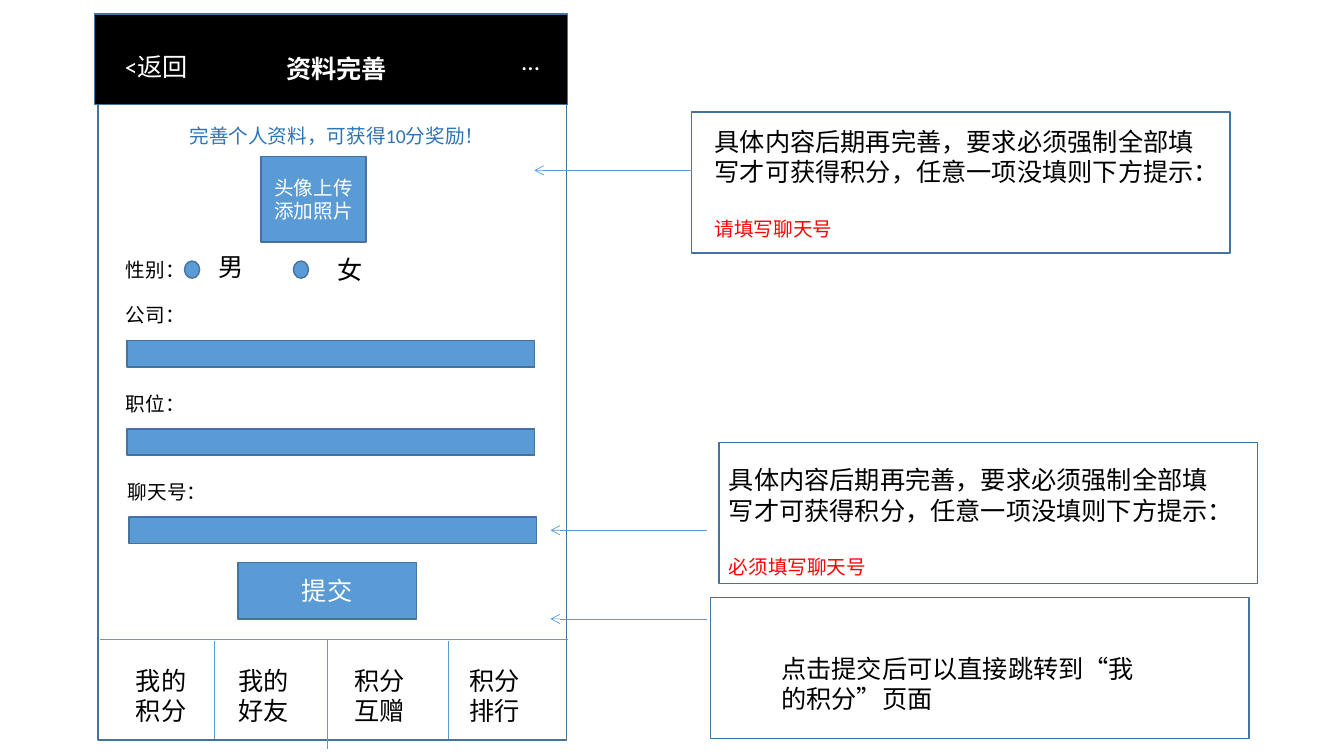
from dataclasses import dataclass
from lxml import etree
from pptx import Presentation
from pptx.dml.color import RGBColor
from pptx.enum.shapes import MSO_CONNECTOR, MSO_SHAPE
from pptx.enum.text import MSO_ANCHOR, PP_ALIGN
from pptx.oxml.ns import qn
from pptx.util import Inches, Pt

RECT, OVAL = MSO_SHAPE.RECTANGLE, MSO_SHAPE.OVAL
LINE = MSO_CONNECTOR.STRAIGHT
LEFT, MID = PP_ALIGN.LEFT, PP_ALIGN.CENTER
TOP, CORE = MSO_ANCHOR.TOP, MSO_ANCHOR.MIDDLE
FONT = "Calibri"
CELL = 0.1  # one grid column or row, in inches
HEX = {"white": "FFFFFF", "black": "000000", "blue": "5B9BD5",
       "edge": "43739E", "tip": "2E75B6", "red": "FF0000"}


@dataclass
class Box:
    x: float
    y: float
    w: float
    h: float


@dataclass
class Label:
    text: str
    box: Box
    size: int = 14
    color: str = "black"
    bold: bool = False


@dataclass
class Field:
    text: str
    x: float


@dataclass
class Tab:
    text: str
    x: float


@dataclass
class Rule:
    x: float
    top: float
    end: float


@dataclass
class Note:
    frame: Box
    body: Box
    text: str
    alert: str
    tail: float
    head: float
    row: float


deck = Presentation()
deck.slide_width, deck.slide_height = Inches(13.33), Inches(7.5)
page = deck.slides.add_slide(deck.slide_layouts[6])


def grid(n: float) -> int:
    return Inches(n * CELL)


def place(box: Box) -> tuple:
    return grid(box.x), grid(box.y), grid(box.w), grid(box.h)


def tint(name: str) -> RGBColor:
    return RGBColor.from_string(HEX[name])


def write(frame, text: str, *, size: int = 14, color: str = "black",
          bold: bool = False, align=LEFT, anchor=TOP, gap: float = 0,
          more: bool = False) -> None:
    frame.word_wrap = True
    frame.vertical_anchor = anchor
    para = frame.add_paragraph() if more else frame.paragraphs[0]
    para.alignment = align
    para.space_before = Pt(gap)
    run = para.add_run()
    run.text = text
    run.font.name, run.font.size, run.font.bold = FONT, Pt(size), bold
    run.font.color.rgb = tint(color)


def label(item: Label):
    frame = page.shapes.add_textbox(*place(item.box)).text_frame
    write(frame, item.text, size=item.size, color=item.color, bold=item.bold)
    return frame


def block(box: Box, fill: str = "blue", kind=RECT):
    shape = page.shapes.add_shape(kind, *place(box))
    shape.shadow.inherit = False
    if fill:
        shape.fill.solid()
        shape.fill.fore_color.rgb = tint(fill)
    else:
        shape.fill.background()
    shape.line.color.rgb = tint("edge")
    shape.line.width = Pt(1)
    return shape


def button(text: str, box: Box, size: int) -> None:
    write(block(box).text_frame, text, size=size, color="white",
          align=MID, anchor=CORE)


def stroke(x1: float, y1: float, x2: float, y2: float,
           arrow: bool = False) -> None:
    line = page.shapes.add_connector(LINE, grid(x1), grid(y1), grid(x2), grid(y2))
    line.line.color.rgb = tint("blue")
    line.line.width = Pt(0.5)
    if arrow:
        etree.SubElement(line.line._get_or_add_ln(), qn("a:tailEnd"), type="arrow")
    etree.SubElement(line._element.spPr, qn("a:effectLst"))


def note(item: Note) -> None:
    block(item.frame, "")
    frame = label(Label(item.text, item.body, 18))
    if item.alert:
        write(frame, item.alert, color="red", gap=21.5, more=True)
    stroke(item.tail, item.row, item.head, item.row, arrow=True)


# Phone screen and title bar
block(Box(9.7, 1.4, 46.5, 72), "white")
block(Box(9.4, 1.4, 46.9, 9), "black")
for item in (
    Label("<返回", Box(11.4, 4.6, 12.2, 4), 18, "white"),
    Label("资料完善", Box(27.4, 4.8, 23.8, 4), 18, "white", True),
    Label("...", Box(50.7, 4, 7.8, 4), 18, "white"),
    Label("完善个人资料，可获得10分奖励！", Box(17.8, 11.8, 34.1, 3.4), color="tip"),
    Label("性别：", Box(11.5, 25.1, 39.2, 3.3)),
    Label("男", Box(20.7, 24.4, 6.4, 4), 18),
    Label("女", Box(32.5, 24.7, 6.4, 4), 18),
):
    label(item)

# Photo, gender choice and submit button
button("头像上传添加照片", Box(25.9, 15.5, 10.4, 8.5), 14)
for x in (18.3, 29.1):
    block(Box(x, 25.9, 1.5, 1.7), kind=OVAL)
button("提交", Box(23.6, 55.8, 17.7, 5.6), 18)

# Input fields
FIELDS = (Field("公司：", 11.5), Field("职位：", 11.5), Field("聊天号：", 11.7))
for i, field in enumerate(FIELDS):
    y = 29.6 + 8.75 * i
    label(Label(field.text, Box(field.x, y, 39.2, 3.3)))
    block(Box(field.x + 1.1, y + 4.2, 40.4, 2.6))

# Bottom tabs
stroke(9.9, 63.4, 56.3, 63.4)
for rule in (Rule(21.3, 63.6, 73.3), Rule(32.5, 63.5, 74.3),
             Rule(44.5, 63.6, 73.3)):
    stroke(rule.x, rule.top, rule.x, rule.end)
for tab in (Tab("我的积分", 12.5), Tab("我的好友", 22.7),
            Tab("积分互赠", 34.2), Tab("积分排行", 45.6)):
    label(Label(tab.text, Box(tab.x, 65.5, 9, 7), 18))

# Notes with arrows to the screen
HINT = "具体内容后期再完善，要求必须强制全部填写才可获得积分，任意一项没填则下方提示："
for item in (
    Note(Box(68.6, 11.1, 53.4, 14), Box(69.9, 12, 51.8, 12.3),
         HINT, "请填写聊天号", 68.6, 53, 16.9),
    Note(Box(71.3, 43.9, 53.4, 14), Box(71.3, 45.6, 51.8, 12.3),
         HINT, "必须填写聊天号", 70.1, 54.6, 52.6),
    Note(Box(70.5, 59.3, 53.4, 14), Box(76.5, 64.3, 38.6, 7),
         "点击提交后可以直接跳转到“我的积分”页面", "", 70.1, 54.6, 61.4),
):
    note(item)

deck.save("out.pptx")
